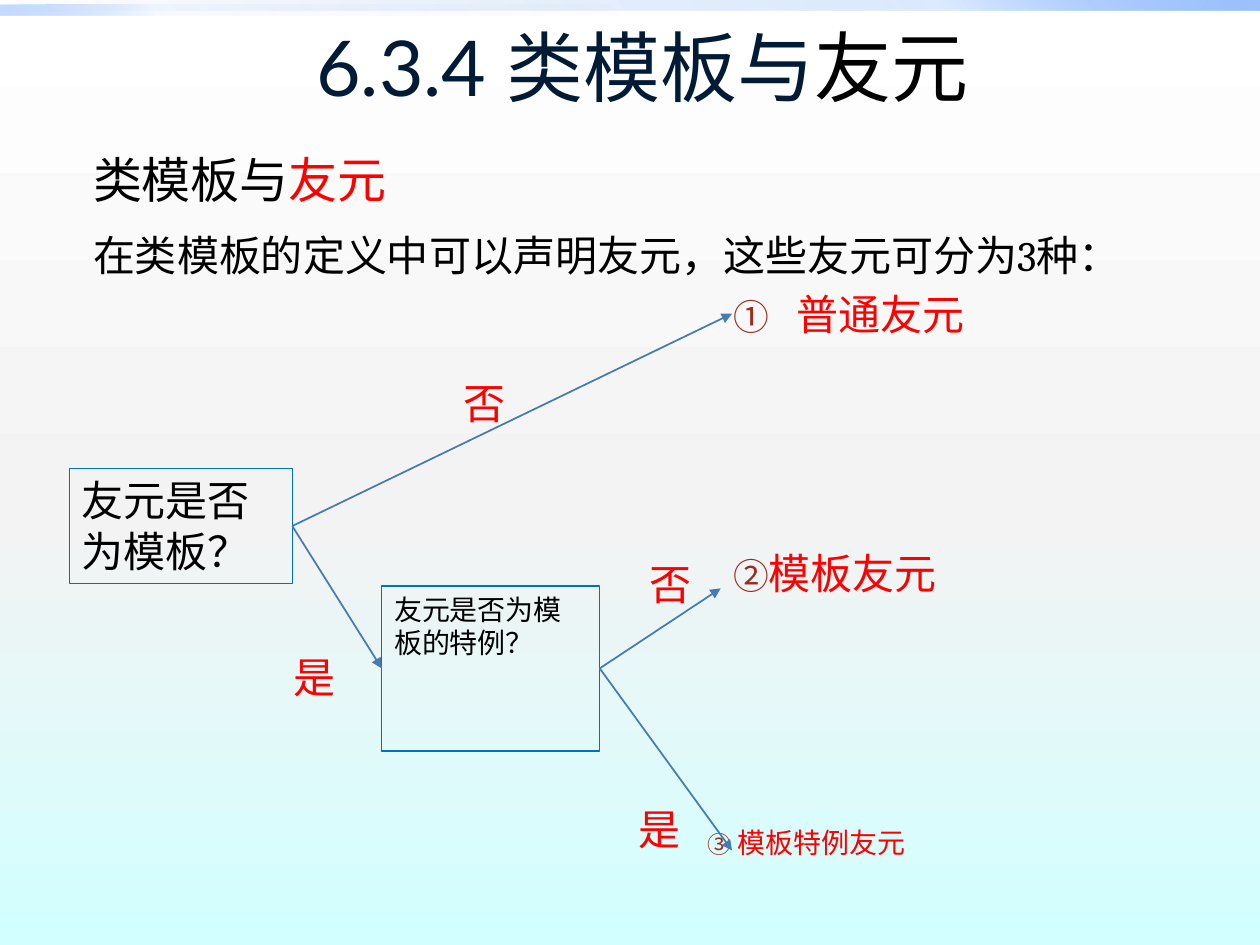
"""Slide on class templates and friends, drawn as a decision tree."""
from lxml import etree
from pptx import Presentation
from pptx import util as u
from pptx.dml.color import RGBColor
from pptx.enum import shapes, text
from pptx.oxml.ns import qn

COLS, ROWS = 100, 75
W, H = u.Inches(10), u.Inches(7.5)
C = {"navy": "001B36", "black": "000000", "red": "FF0000", "bullet": "9B2D1F",
     "border": "0070C0", "arrow": "477AB1", "deep": "0058B7",
     "mid": "4F95FF", "pale": "9EC2FF", "white": "FFFFFF",
     "grey": "F3F3F3", "aqua": "D2FFFF"}


def place(box, left, top, *size):
    """Turn columns and rows inside a box into slide lengths."""
    units = (W / COLS, H / ROWS) * 2
    cells = (box[0] + left, box[1] + top) + size
    return [int(n * unit) for n, unit in zip(cells, units)]


def node(parent, tag, **attrs):
    """Append a DrawingML element to a parent."""
    e = etree.SubElement(parent, qn(tag))
    for key, value in attrs.items():
        e.set(key, str(value))
    return e


def gradient(fill, root, stops, angle):
    """Fill with (position, colour, opacity) stops at a clockwise angle."""
    fill.gradient()
    grad = next(root.iter(qn("a:gradFill")))
    for child in list(grad):
        grad.remove(child)
    gs_list = node(grad, "a:gsLst")
    for pos, color, opacity in stops:
        gs = node(gs_list, "a:gs", pos=pos * 1000)
        clr = node(gs, "a:srgbClr", val=C[color])
        if opacity < 100:
            node(clr, "a:alpha", val=opacity * 1000)
    node(grad, "a:lin", ang=angle * 60000, scaled=0)


def write(p, runs, size=24, font="Comic Neue", align=None, before=0,
          indent=None, number=None):
    """Write (text, colour) runs into a paragraph with its format."""
    p.alignment = align
    p.space_before, p.space_after = u.Pt(before), u.Pt(6)
    ppr = p._p.get_or_add_pPr()
    if indent:
        ppr.set("marL", str(u.Inches(indent[0])))
        ppr.set("indent", str(u.Inches(indent[1])))
    if number:
        node(node(ppr, "a:buClr"), "a:srgbClr", val=C["bullet"])
        node(ppr, "a:buSzPct", val=85000)
        node(ppr, "a:buAutoNum", type="circleNumDbPlain", startAt=number)
    for words, color in runs:
        r = p.add_run()
        r.text = words
        r.font.size, r.font.name = u.Pt(size), font
        r.font.color.rgb = RGBColor.from_string(C[color])


def label(s, at, words, color="red", **fmt):
    """Add a one-paragraph text box."""
    tf = s.shapes.add_textbox(*at).text_frame
    tf.word_wrap = True
    write(tf.paragraphs[0], [(words, color)], **fmt)


def question(s, at, words, size):
    """Add an outlined question box."""
    sp = s.shapes.add_shape(shapes.MSO_SHAPE.RECTANGLE, *at)
    sp.shadow.inherit = False
    sp.fill.background()
    sp.line.color.rgb = RGBColor.from_string(C["border"])
    sp.line.width = u.Pt(0.75)
    tf = sp.text_frame
    tf.word_wrap, tf.vertical_anchor = True, text.MSO_ANCHOR.TOP
    write(tf.paragraphs[0], [(words, "black")], size, align=text.PP_ALIGN.LEFT)


def arrow(s, start, end):
    """Draw an arrow between two points."""
    sp = s.shapes.add_connector(shapes.MSO_CONNECTOR.STRAIGHT, *start, *end)
    sp.line.color.rgb = RGBColor.from_string(C["arrow"])
    sp.line.width = u.Pt(1)
    node(sp.line._get_or_add_ln(), "a:tailEnd", type="triangle")
    node(sp._element.spPr, "a:effectLst")


def backdrop(s, box):
    """Paint the background and the two fading bars along the top."""
    gradient(s.background.fill, s._element,
             [(0, "white", 100), (55, "grey", 100), (100, "aqua", 100)], 90)
    for top, width, opacities, angle in ((0, box[2], (0, 20, 100), 315),
                                         (0.4, box[2] / 2, (0, 5, 60), 135)):
        sp = s.shapes.add_shape(shapes.MSO_SHAPE.RECTANGLE,
                                *place(box, 0, top, width, 0.8))
        sp.shadow.inherit = False
        sp.line.fill.background()
        stops = list(zip((0, 75, 100), ("deep", "mid", "pale"), opacities))
        gradient(sp.fill, sp._element, stops, angle)


def title(s, box):
    """Write the centred heading."""
    tf = s.shapes.add_textbox(*place(box, 0, 0, *box[2:])).text_frame
    tf.word_wrap, tf.vertical_anchor = True, text.MSO_ANCHOR.MIDDLE
    write(tf.paragraphs[0], [("6.3.4 类模板与", "navy"), ("友元", "black")],
          44, "Lato", text.PP_ALIGN.CENTER)


def intro(s, box):
    """Write the subheading and the opening sentence."""
    tf = s.shapes.add_textbox(*place(box, 0, 0, *box[2:])).text_frame
    tf.word_wrap = True
    hang = (0.38, -0.38)
    write(tf.paragraphs[0], [("类模板与", "black"), ("友元", "red")],
          28, "Cambria", indent=hang)
    write(tf.add_paragraph(),
          [("在类模板的定义中可以声明友元，这些友元可分为3种：", "black")],
          24, "Cambria", before=6, indent=hang)


def tree(s, box):
    """Draw the questions, their answers and the three kinds of friend."""
    kinds = (("普通友元", 48.2, 0, 38, 24, (0.85, -0.5)),
             ("模板友元", 51.7, 20.6, 40.8, 24, (0, -0.5)),
             (" 模板特例友元", 47.2, 42.6, 44.6, 16, (0.25, 0)))
    for number, (words, x, y, w, size, indent) in enumerate(kinds, 1):
        label(s, place(box, x, y, w, 5), words, size=size, indent=indent,
              number=number)

    first, second = (0, 14.8, 17.7, 9.1), (24.8, 24.1, 17.3, 13.1)
    question(s, place(box, *first), "友元是否为模板？", 24)
    question(s, place(box, *second), "友元是否为模板的特例？", 16)

    entry = (second[0], second[1] + second[3] / 2)
    for (x, y, w, h), ends in ((first, ((52.6, 2.5), entry)),
                               (second, ((51.7, 24.3), (52.6, 45.1)))):
        for end in ends:
            arrow(s, place(box, x + w, y + h / 2), place(box, *end))

    for words, x, y, w in (("否", 30.3, 7.1, 10.1), ("是", 16.8, 28.8, 6.7),
                           ("是", 44.2, 40.9, 6.7), ("否", 45.1, 21.4, 6.7)):
        label(s, place(box, x, y, w, 5), words)


def main():
    """Build the slide and save it."""
    prs = Presentation()
    prs.slide_width, prs.slide_height = W, H
    s = prs.slides.add_slide(prs.slide_layouts[6])
    backdrop(s, (0, 0, COLS, ROWS))
    title(s, (8.5, 0.5, 85, 9.4))
    intro(s, (6.4, 11.4, 85, 6.3))
    tree(s, (5.5, 22.4, 92, 48))
    prs.save("out.pptx")


if __name__ == "__main__":
    main()
